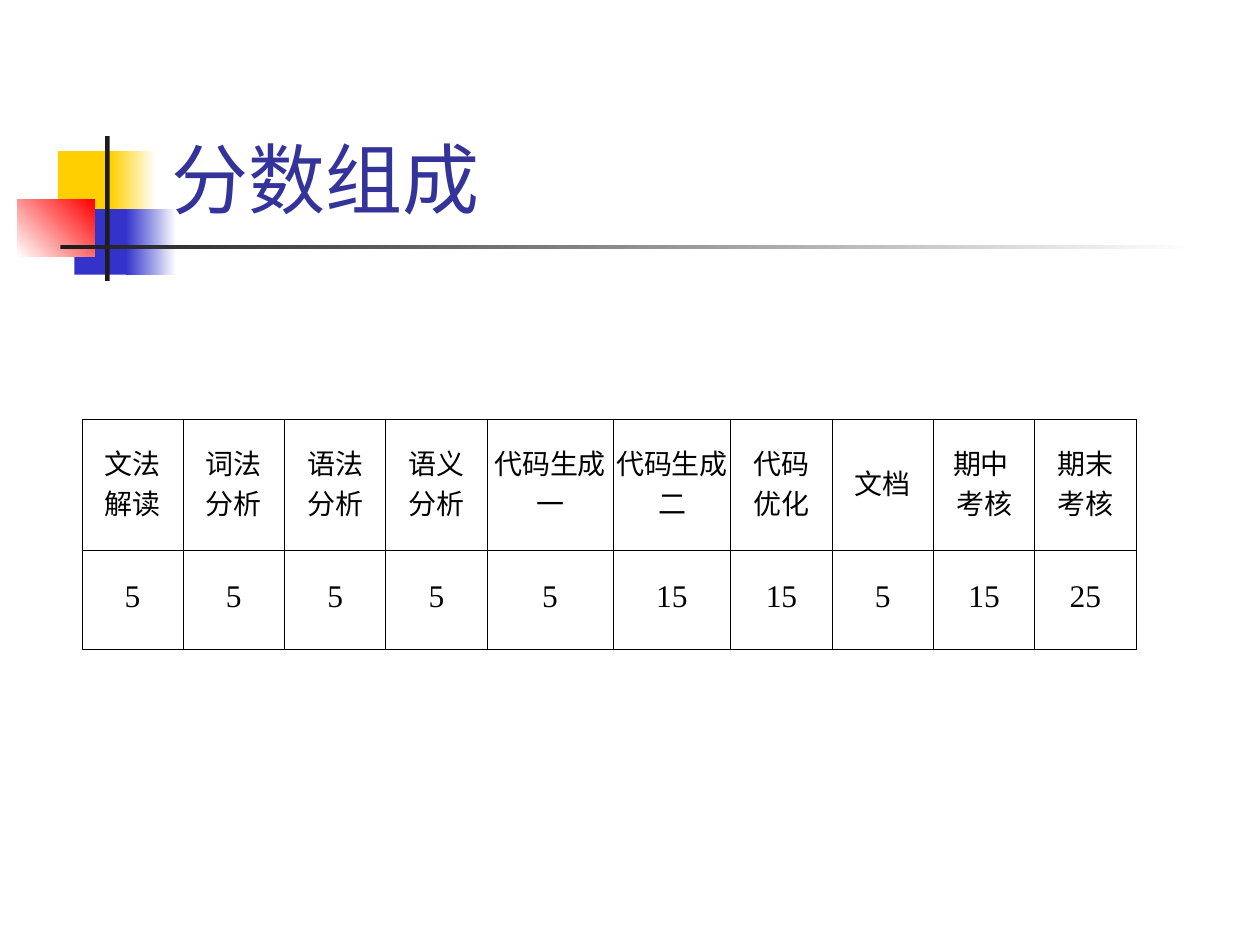
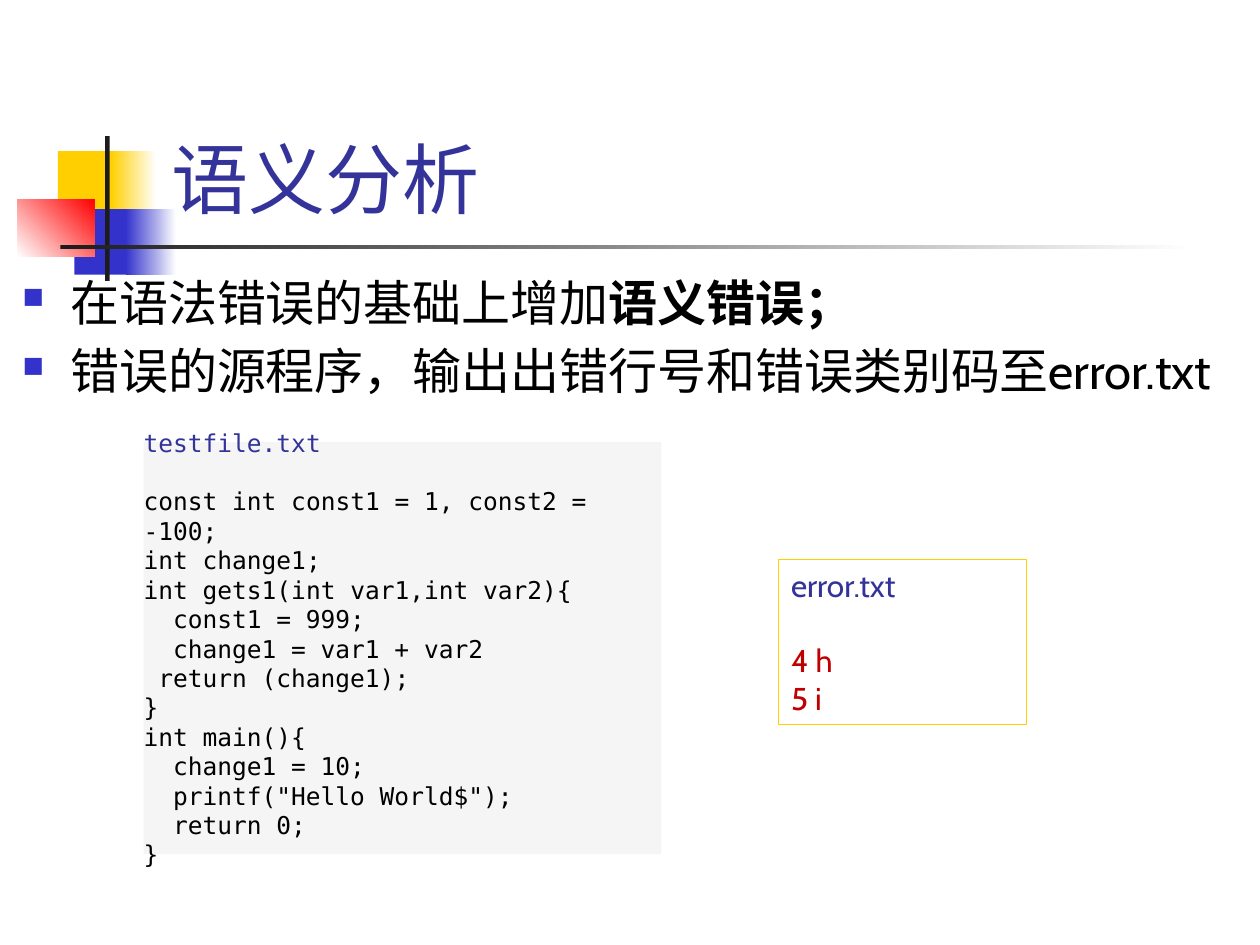
from dataclasses import dataclass

from lxml.etree import SubElement as Sub
from pptx import Presentation
from pptx.dml.color import RGBColor as Rgb
from pptx.enum.shapes import MSO_SHAPE as Shape
from pptx.enum.text import MSO_ANCHOR as Anchor, PP_ALIGN as Align
from pptx.oxml.ns import qn
from pptx.util import Emu, Inches, Pt


@dataclass(frozen=True)
class Theme:
    """Colours, fonts and type sizes of the deck."""
    white: str = "FFFFFF"
    ink: str = "000000"
    rule: str = "1C1C1C"
    yellow: str = "FFCF01"
    blue: str = "3333CC"
    red: str = "FF0000"
    heading: str = "333399"
    error: str = "C00000"
    panel: str = "F5F5F5"
    sans: str = "Cabin"
    label: str = "Arial"
    serif: str = "Times New Roman"
    mono: str = "DejaVu Sans Mono"
    title_size: float = 44
    body_size: float = 28
    note_size: float = 18
    label_size: float = 16
    code_size: float = 14


class Deck:
    """Draws styled elements on a grid of 100 columns by 75 rows."""

    def __init__(self, theme):
        """Start an empty deck."""
        self.theme = theme
        self.deck = Presentation()
        self.deck.slide_width, self.deck.slide_height = Inches(10), Inches(7.5)
        self.column = self.deck.slide_width / 100
        self.row = self.deck.slide_height / 75
        self.slide = None

    def area(self, left, top, width, height):
        """Turn grid columns and rows into lengths."""
        return (Emu(round(left * self.column)), Emu(round(top * self.row)),
                Emu(round(width * self.column)), Emu(round(height * self.row)))

    def new_slide(self, title):
        """Add a slide with the shared ornament and title."""
        theme = self.theme
        self.slide = self.deck.slides.add_slide(self.deck.slide_layouts[6])
        self.block((4.6, 12, 4.8, 5.2), theme.yellow)
        self.block((8.8, 12, 3.6, 5.2), theme.yellow, theme.white)
        self.block((5.9, 16.6, 4.6, 5.2), theme.blue)
        self.block((10, 16.6, 4, 5.2), theme.blue, theme.white)
        self.block((1.4, 15.8, 6.1, 4.6), theme.white, theme.red, angle=45)
        self.block((8.35, 10.8, 0.35, 11.5), theme.rule)
        self.block((4.8, 19.45, 90, 0.35), theme.rule, theme.white)
        frame = self.text_area((12.6, 2.3, 85.2, 16), Anchor.BOTTOM)
        frame.text = title
        self.style(frame.paragraphs[0], theme.sans, theme.title_size, theme.heading)

    def block(self, area, fill=None, fade=None, angle=0, line=None):
        """Draw a rectangle, plain or fading to a second colour."""
        box = self.slide.shapes.add_shape(Shape.RECTANGLE, *self.area(*area))
        box.shadow.inherit = False
        if fade:
            box.fill.gradient()
            box.fill.gradient_angle = angle
            for stop, colour in zip(box.fill.gradient_stops, (fill, fade)):
                stop.color.rgb = Rgb.from_string(colour)
        elif fill:
            box.fill.solid()
            box.fill.fore_color.rgb = Rgb.from_string(fill)
        else:
            box.fill.background()
        if line:
            box.line.color.rgb = Rgb.from_string(line)
            box.line.width = Pt(0.75)
        else:
            box.line.fill.background()
        return box

    def text_area(self, area, anchor=Anchor.TOP):
        """Add a wrapping text frame."""
        frame = self.slide.shapes.add_textbox(*self.area(*area)).text_frame
        frame.word_wrap = True
        frame.vertical_anchor = anchor
        return frame

    def style(self, paragraph, font, size, colour, align=Align.LEFT):
        """Format every run of a paragraph."""
        paragraph.alignment = align
        for run in paragraph.runs:
            run.font.name, run.font.size = font, Pt(size)
            run.font.color.rgb = Rgb.from_string(colour)

    def bullets(self, area, points):
        """Write bulleted points, each a plain part and a bold part."""
        theme = self.theme
        frame = self.text_area(area)
        for index, (plain, strong) in enumerate(points):
            point = frame.add_paragraph() if index else frame.paragraphs[0]
            point.text = plain
            if strong:
                run = point.add_run()
                run.text = strong
                run.font.bold = True
            self.style(point, theme.sans, theme.body_size, theme.ink)
            point.space_before = Pt(theme.body_size * 0.2)
            props = point._p.get_or_add_pPr()
            hang = round(3.8 * self.column)
            props.set("marL", str(hang))
            props.set("indent", str(-hang))
            Sub(Sub(props, qn("a:buClr")), qn("a:srgbClr"), val=theme.blue)
            Sub(props, qn("a:buSzPct"), val="60000")
            Sub(props, qn("a:buChar"), char="■")

    def listing(self, box, heading, lines, font, size, colour, gap):
        """Write a file name and its lines, given as indent and text."""
        frame = box.text_frame
        frame.word_wrap = True
        frame.text = "\n".join([heading, *(text for _, text in lines)])
        name, *rows = frame.paragraphs
        self.style(name, font, size, self.theme.heading)
        name.space_after = Pt(gap)
        for row, (indent, _) in zip(rows, lines):
            self.style(row, font, size, colour)
            if indent:
                row._p.get_or_add_pPr().set("marL", str(Pt(indent * size * 0.6)))
        return frame

    def table(self, area, widths, heights, labels, scores):
        """Draw a ruled table of labels above scores."""
        theme = self.theme
        grid = self.slide.shapes.add_table(2, len(widths), *self.area(*area)).table
        grid.first_row = grid.horz_banding = False
        for column, width in zip(grid.columns, widths):
            column.width = Emu(round(width * self.column))
        fonts = (theme.label, theme.label_size), (theme.serif, theme.note_size)
        for row, height, texts, font in zip(grid.rows, heights, (labels, scores), fonts):
            row.height = Emu(round(height * self.row))
            for cell, text in zip(row.cells, texts):
                self.cell(cell, str(text), *font)

    def cell(self, cell, text, font, size):
        """Fill and rule one table cell."""
        theme = self.theme
        cell.text_frame.text = text
        for paragraph in cell.text_frame.paragraphs:
            self.style(paragraph, font, size, theme.ink, Align.CENTER)
        cell.vertical_anchor = Anchor.MIDDLE
        cell.margin_left = cell.margin_top = cell.margin_right = Inches(0.01)
        cell.margin_bottom = Inches(0.05)
        props = cell._tc.get_or_add_tcPr()
        for side in ("lnL", "lnR", "lnT", "lnB"):
            edge = Sub(props, qn(f"a:{side}"), w=str(Pt(0.5)))
            Sub(Sub(edge, qn("a:solidFill")), qn("a:srgbClr"), val=theme.ink)
        cell.fill.solid()
        cell.fill.fore_color.rgb = Rgb.from_string(theme.white)


SCORES = {
    "文法\n解读": 5, "词法\n分析": 5, "语法\n分析": 5, "语义\n分析": 5,
    "代码生成一": 5, "代码生成二": 15, "代码\n优化": 15, "文档": 5,
    "期中 \n考核": 15, "期末\n考核": 25,
}
POINTS = [
    ("在语法错误的基础上增加", "语义错误；"),
    ("错误的源程序，输出出错行号和错误类别码至error.txt", ""),
]
SOURCE_LINES = [
    (0, "const int const1 = 1, const2 = -100;"),
    (0, "int change1;"),
    (0, "int gets1(int var1,int var2){"),
    (2, "const1 = 999;"),
    (2, "change1 = var1 + var2"),
    (1, "return (change1);"),
    (0, "}"),
    (0, "int main(){"),
    (2, "change1 = 10;"),
    (2, 'printf("Hello World$");'),
    (2, "return 0;"),
    (0, "}"),
]
ERROR_LINES = [(0, "4 h"), (0, "5 i")]


def score_slide(deck):
    """Show how the score is made up."""
    deck.new_slide("分数组成")
    widths = [8.04] * 4 + [10, 9.35] + [8.04] * 4
    deck.table((6.5, 33.3, 83.7, 18.2), widths, (10.35, 7.9), SCORES, SCORES.values())


def semantics_slide(deck):
    """Show a faulty program and its error file."""
    theme = deck.theme
    deck.new_slide("语义分析")
    deck.bullets((0.8, 21.1, 98.4, 11.7), POINTS)
    errors = deck.block((61.8, 44.4, 19.7, 13.1), line=theme.yellow)
    frame = deck.listing(errors, "error.txt", ERROR_LINES, theme.sans,
                         theme.note_size, theme.error, gap=21.6)
    frame.vertical_anchor = Anchor.TOP
    program = deck.block((11.4, 35.1, 41.1, 32.7), theme.panel)
    frame = deck.listing(program, "testfile.txt", SOURCE_LINES, theme.mono,
                         theme.code_size, theme.ink, gap=16.8)
    frame.vertical_anchor = Anchor.MIDDLE
    frame.margin_left = frame.margin_right = 0
    frame.margin_top = frame.margin_bottom = Inches(0.1)


def main():
    """Build and save the deck."""
    deck = Deck(Theme())
    score_slide(deck)
    semantics_slide(deck)
    deck.deck.save("out.pptx")


if __name__ == "__main__":
    main()
